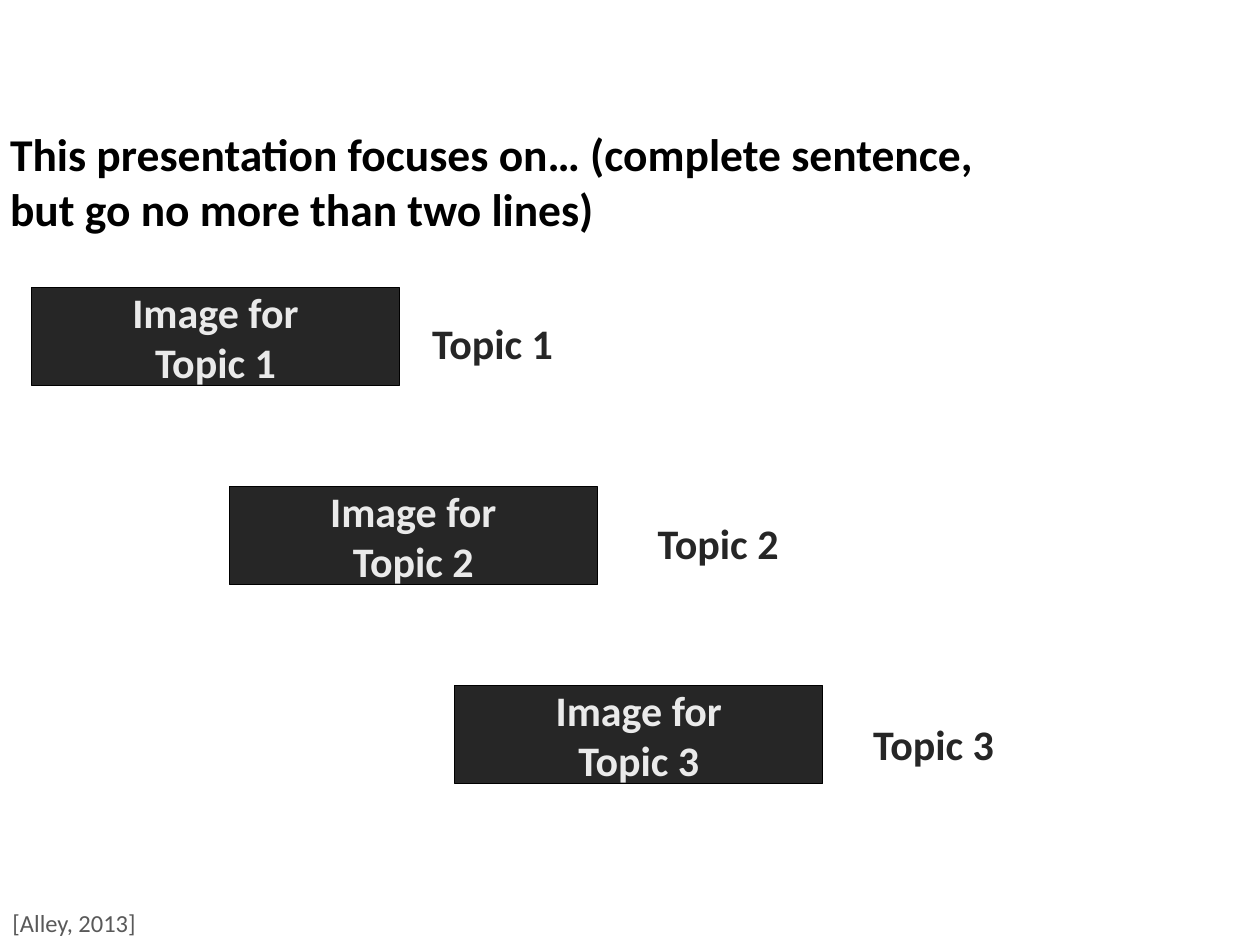
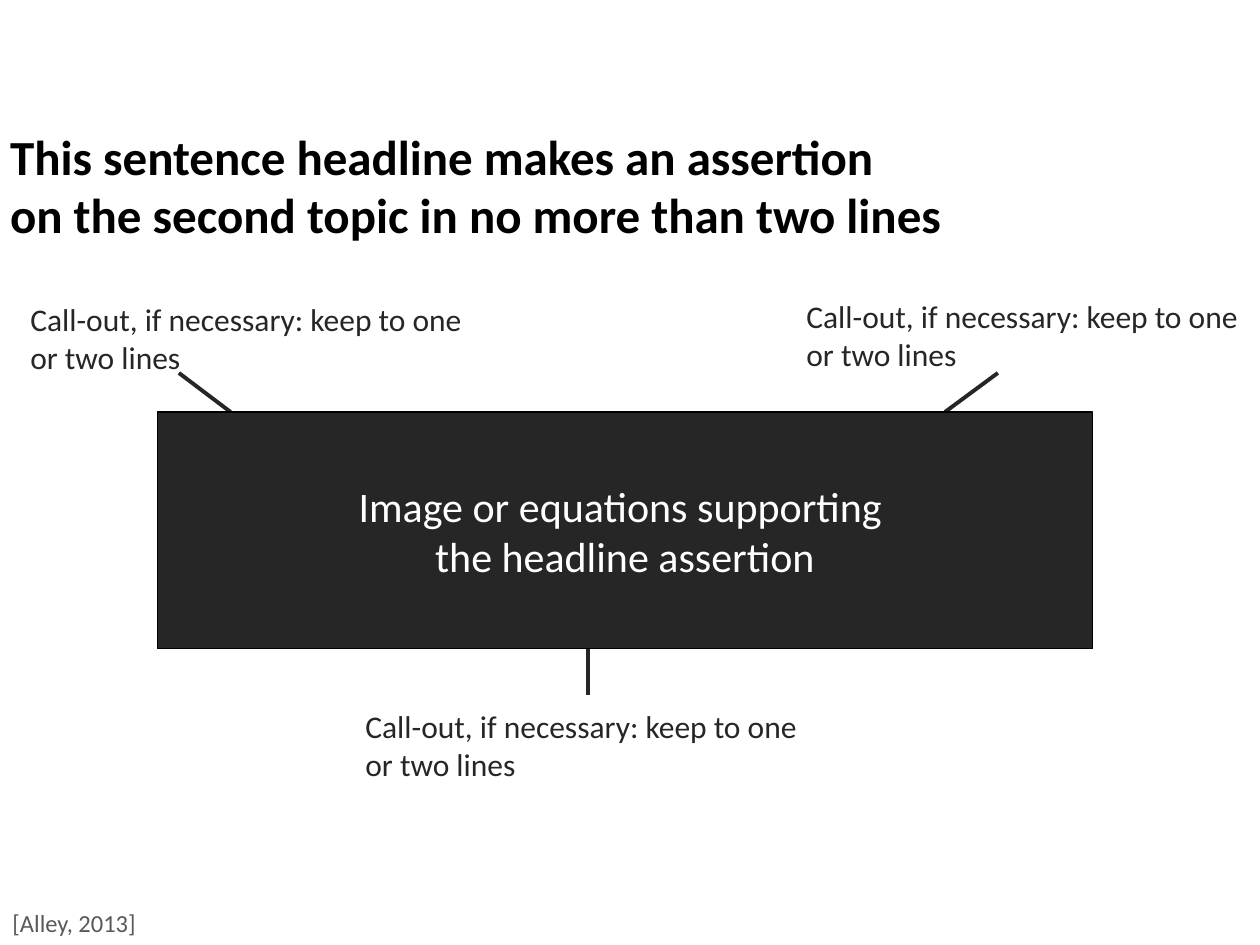
"""Build two assertion-evidence slides: a topic overview and a supported headline."""
from dataclasses import dataclass

import lxml.etree
import pptx
import pptx.dml.color
import pptx.enum.shapes
import pptx.enum.text
import pptx.oxml.ns
import pptx.util

BLACK = pptx.dml.color.RGBColor(0x00, 0x00, 0x00)
WHITE = pptx.dml.color.RGBColor(0xFF, 0xFF, 0xFF)
CHARCOAL = pptx.dml.color.RGBColor(0x26, 0x26, 0x26)
GREY = pptx.dml.color.RGBColor(0x59, 0x59, 0x59)
PALE = pptx.dml.color.RGBColor(0xEA, 0xEA, 0xEA)
FONT = "Calibri"

WIDTH, HEIGHT = pptx.util.Inches(10), pptx.util.Inches(7.5)
COLUMNS, ROWS = 100, 75
TITLE_ONLY = 5
LEFT = pptx.enum.text.PP_ALIGN.LEFT
CENTER = pptx.enum.text.PP_ALIGN.CENTER
TOP = pptx.enum.text.MSO_ANCHOR.TOP
MIDDLE = pptx.enum.text.MSO_ANCHOR.MIDDLE


@dataclass(frozen=True)
class Area:
    """A rectangle in grid columns and rows."""
    column: float
    row: float
    columns: float
    rows: float

    def lengths(self) -> tuple[int, int, int, int]:
        """Return left, top, width and height as slide lengths."""
        return across(self.column), down(self.row), across(self.columns), down(self.rows)


@dataclass(frozen=True)
class TextStyle:
    """The look of a text and its insets in inches."""
    size: int
    color: pptx.dml.color.RGBColor
    bold: bool = False
    insets: tuple[float, float] = (0.07, 0.03)
    align: pptx.enum.text.PP_ALIGN = LEFT
    anchor: pptx.enum.text.MSO_ANCHOR = TOP
    wrap: bool = True


@dataclass(frozen=True)
class Topic:
    """A topic with the columns of its image and its label."""
    name: str
    image_column: float
    label_column: float


@dataclass(frozen=True)
class Callout:
    """A call-out corner and the start and end of its pointer line."""
    column: float
    row: float
    start: tuple[float, float]
    end: tuple[float, float]


FOOTER = TextStyle(14, GREY, insets=(0.1, 0.05), wrap=False)
TOPIC_LABEL = TextStyle(24, CHARCOAL, bold=True)
TOPIC_IMAGE = TextStyle(24, PALE, bold=True, insets=(0.1, 0.05), align=CENTER, anchor=MIDDLE)
EVIDENCE = TextStyle(24, WHITE, insets=(0.1, 0.05), align=CENTER, anchor=MIDDLE)
CALLOUT = TextStyle(18, CHARCOAL)

TOPICS = (
    Topic("Topic 1", 2.5, 33.6),
    Topic("Topic 2", 18.2, 51.5),
    Topic("Topic 3", 36.1, 68.6),
)
CALLOUTS = (
    Callout(1.7, 23.5, (14.2, 29.6), (18.3, 32.7)),
    Callout(63.3, 23.3, (79.2, 29.6), (75, 32.7)),
    Callout(28.3, 55.8, (46.7, 50.2), (46.7, 55.2)),
)


def across(columns: float) -> int:
    """Convert grid columns to a slide length."""
    return round(WIDTH * columns / COLUMNS)


def down(rows: float) -> int:
    """Convert grid rows to a slide length."""
    return round(HEIGHT * rows / ROWS)


def write(shape, text: str, style: TextStyle) -> None:
    """Put styled text into a shape."""
    frame = shape.text_frame
    frame.text = text
    frame.auto_size = pptx.enum.text.MSO_AUTO_SIZE.NONE
    frame.word_wrap = style.wrap
    frame.vertical_anchor = style.anchor
    frame.margin_left = frame.margin_right = pptx.util.Inches(style.insets[0])
    frame.margin_top = frame.margin_bottom = pptx.util.Inches(style.insets[1])
    for para in frame.paragraphs:
        para.alignment = style.align
        for span in para.runs:
            span.font.name = FONT
            span.font.size = pptx.util.Pt(style.size)
            span.font.bold = style.bold
            span.font.color.rgb = style.color


def add_text(page, area: Area, text: str, style: TextStyle) -> None:
    """Add a text box."""
    write(page.shapes.add_textbox(*area.lengths()), text, style)


def add_panel(page, area: Area, text: str, style: TextStyle) -> None:
    """Add a dark rectangle with centred text."""
    panel = page.shapes.add_shape(pptx.enum.shapes.MSO_SHAPE.RECTANGLE, *area.lengths())
    panel.shadow.inherit = False
    panel.fill.solid()
    panel.fill.fore_color.rgb = CHARCOAL
    panel.line.color.rgb = BLACK
    panel.line.width = pptx.util.Pt(0.75)
    write(panel, text, style)


def add_pointer(page, callout: Callout) -> None:
    """Add the line between a call-out and the evidence panel."""
    pointer = page.shapes.add_connector(
        pptx.enum.shapes.MSO_CONNECTOR.STRAIGHT,
        across(callout.start[0]), down(callout.start[1]),
        across(callout.end[0]), down(callout.end[1]))
    pointer.line.color.rgb = CHARCOAL
    pointer.line.width = pptx.util.Pt(2.25)
    lxml.etree.SubElement(pointer._element.spPr, pptx.oxml.ns.qn("a:effectLst"))


def add_page(deck, headline: str, size: int, area: Area):
    """Add a slide with its headline and the shared footer."""
    page = deck.slides.add_slide(deck.slide_layouts[TITLE_ONLY])
    title = page.shapes.title
    title.left, title.top, title.width, title.height = area.lengths()
    write(title, headline, TextStyle(size, BLACK, bold=True, insets=(0, 0)))
    add_text(page, Area(0, 71.6, 11.9, 3.4), "[Alley, 2013]", FOOTER)
    return page


def build_overview(deck) -> None:
    """Build the slide that steps through the topics."""
    page = add_page(
        deck,
        "This presentation focuses on… (complete sentence, \vbut go no more than two lines)",
        26, Area(0.8, 10, 98.8, 8.8))
    for index, topic in enumerate(TOPICS):
        label = Area(topic.label_column, 24.9 + 15.9 * index, 13, 4.6)
        image = Area(topic.image_column, 22.8 + 15.8 * index, 29.2, 7.8)
        add_text(page, label, topic.name, TOPIC_LABEL)
        add_panel(page, image, f"Image for\n{topic.name}", TOPIC_IMAGE)


def build_assertion(deck) -> None:
    """Build the slide with an evidence panel and its call-outs."""
    page = add_page(
        deck,
        "This sentence headline makes an assertion \von the second topic in no more than two lines",
        28, Area(0.8, 10, 97.5, 9.4))
    for callout in CALLOUTS:
        add_pointer(page, callout)
        add_text(page, Area(callout.column, callout.row, 35.8, 5),
                 "Call-out, if necessary: keep to one or two lines", CALLOUT)
    add_panel(page, Area(12.5, 32.7, 74.2, 18.8),
              "Image or equations supporting \vthe headline assertion", EVIDENCE)


def main() -> None:
    """Build and save the deck."""
    deck = pptx.Presentation()
    deck.slide_width, deck.slide_height = WIDTH, HEIGHT
    build_overview(deck)
    build_assertion(deck)
    deck.save("out.pptx")


if __name__ == "__main__":
    main()
